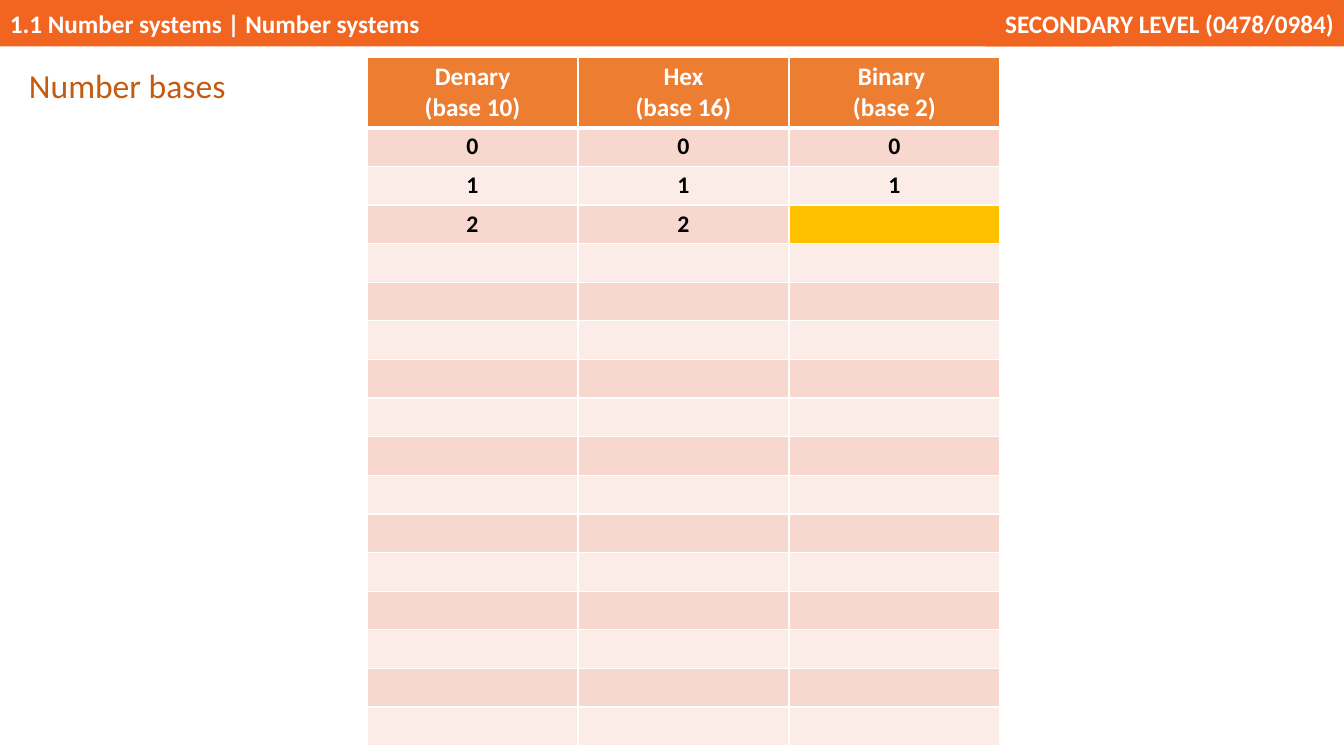
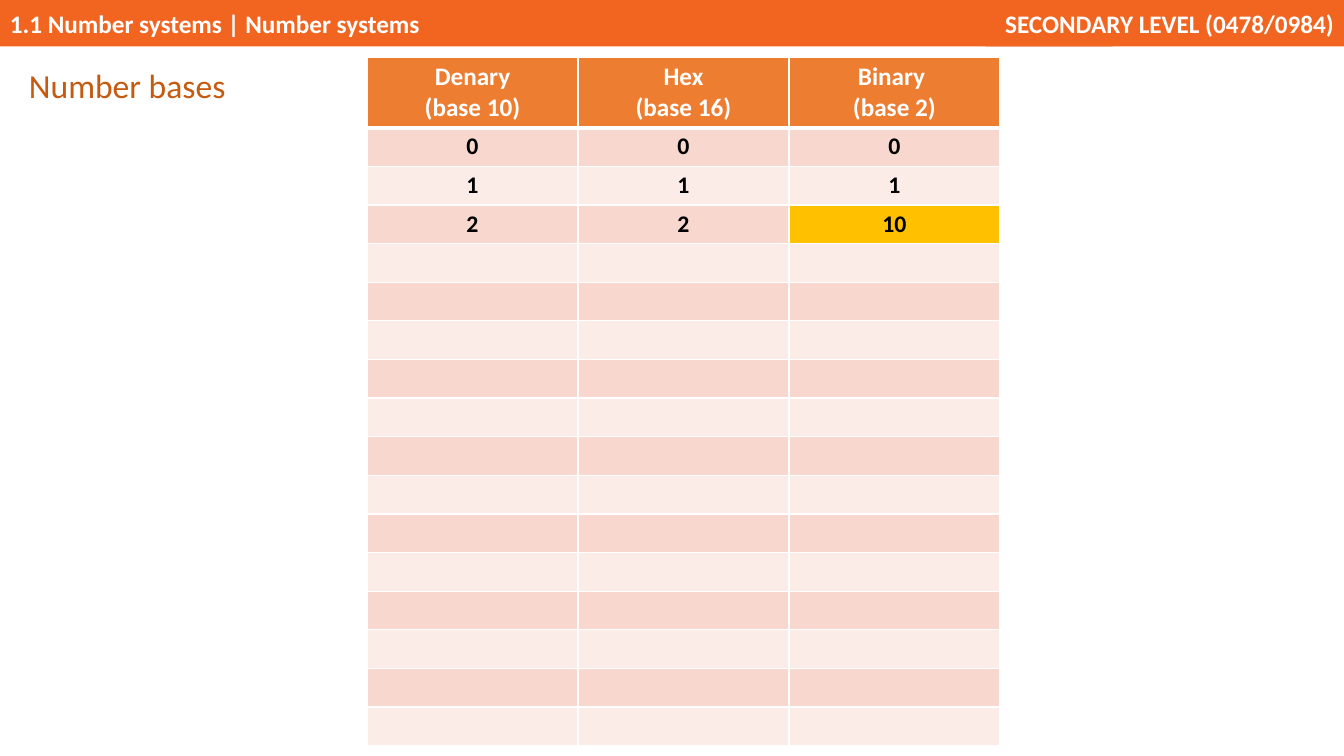
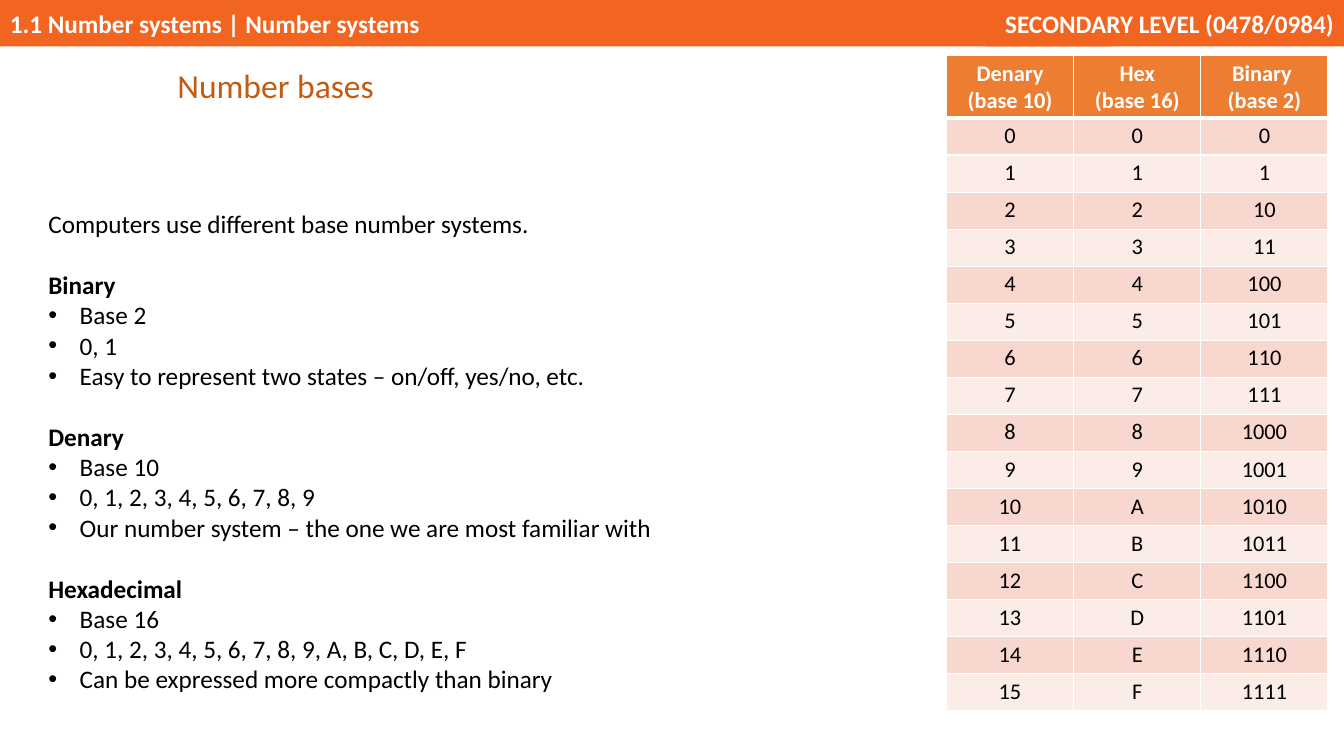
import dataclasses

import lxml.etree
import pptx
import pptx.dml.color
import pptx.enum.shapes
import pptx.enum.text
import pptx.oxml.ns
import pptx.util
from pptx.util import Cm

PAGE_WIDTH, PAGE_HEIGHT = 33.87, 19.05
FONT = "Calibri"
WHITE, BLACK = "FFFFFF", "000000"
BAND, TITLE = "F26521", "C55A11"
HEADER, STRIPES, HIGHLIGHT = "ED7D31", ("F8D7CE", "FCECE8"), "FFC000"
BAND_HEIGHT = 1.17
NUMBER_COUNT = 16
HEADINGS = ("Denary\n(base 10)", "Hex\n(base 16)", "Binary \n(base 2)")
ALIGN = pptx.enum.text.PP_ALIGN


@dataclasses.dataclass(frozen=True)
class Band:
    left: float
    width: float
    text: str
    align: ALIGN


@dataclasses.dataclass(frozen=True)
class BaseTable:
    left: float
    top: float
    width: float
    height: float
    header_height: float
    header_size: int
    body_size: int
    body_bold: bool


@dataclasses.dataclass(frozen=True)
class NumberBase:
    name: str
    facts: tuple[str, ...]


BANDS = (
    Band(0, 28.04, "1.1 Number systems | Number systems", ALIGN.LEFT),
    Band(24.84, PAGE_WIDTH - 24.84, "SECONDARY LEVEL (0478/0984)", ALIGN.RIGHT),
)
LARGE_TABLE = BaseTable(9.25, 1.45, 15.95, 17.35, 1.77, 18, 17, True)
SIDE_TABLE = BaseTable(23.85, 1.4, 9.62, 16.51, 1.57, 16, 16, False)

INTRODUCTION = "Computers use different base number systems."
NUMBER_BASES = (
    NumberBase("Binary", (
        "Base 2",
        "0, 1",
        "Easy to represent two states – on/off, yes/no, etc.",
    )),
    NumberBase("Denary", (
        "Base 10",
        "0, 1, 2, 3, 4, 5, 6, 7, 8, 9",
        "Our number system – the one we are most familiar with",
    )),
    NumberBase("Hexadecimal", (
        "Base 16",
        "0, 1, 2, 3, 4, 5, 6, 7, 8, 9, A, B, C, D, E, F",
        "Can be expressed more compactly than binary",
    )),
)


def rgb(value: str) -> pptx.dml.color.RGBColor:
    return pptx.dml.color.RGBColor.from_string(value)


def add_element(parent, tag: str, **attributes: str):
    return lxml.etree.SubElement(parent, pptx.oxml.ns.qn(tag), attributes)


def format_runs(para, size: int, color: str, bold: bool = False) -> None:
    for span in para.runs:
        span.font.name = FONT
        span.font.size = pptx.util.Pt(size)
        span.font.bold = bold
        span.font.color.rgb = rgb(color)


def add_band(page, band: Band) -> None:
    box = page.shapes.add_shape(
        pptx.enum.shapes.MSO_SHAPE.RECTANGLE,
        Cm(band.left), Cm(0), Cm(band.width), Cm(BAND_HEIGHT),
    )
    box.shadow.inherit = False
    box.fill.solid()
    box.fill.fore_color.rgb = rgb(BAND)
    box.line.fill.background()
    frame = box.text_frame
    frame.text = band.text
    frame.vertical_anchor = pptx.enum.text.MSO_ANCHOR.MIDDLE
    para = frame.paragraphs[0]
    para.alignment = band.align
    format_runs(para, 18, WHITE, True)


def add_title(page, left: float) -> None:
    box = page.shapes.add_textbox(Cm(left), Cm(1.45), Cm(5.51), Cm(1.3))
    box.text_frame.word_wrap = False
    box.text_frame.text = "Number bases"
    para = box.text_frame.paragraphs[0]
    para.line_spacing = 1.07
    format_runs(para, 24, TITLE)


def add_page(deck, title_left: float):
    """Add a blank page with the shared bands and title."""
    page = deck.slides.add_slide(deck.slide_layouts[6])
    for band in BANDS:
        add_band(page, band)
    add_title(page, title_left)
    return page


def number_rows(shown: int) -> list[tuple[str, ...]]:
    """Return a row per number, with blanks for those not yet shown."""
    return [
        (str(n), f"{n:X}", f"{n:b}") if n < shown else ("", "", "")
        for n in range(NUMBER_COUNT)
    ]


def set_borders(cell, top: int, bottom: int) -> None:
    properties = cell._tc.get_or_add_tcPr()
    for side, points in (("L", 1), ("R", 1), ("T", top), ("B", bottom)):
        line = add_element(properties, f"a:ln{side}", w=str(pptx.util.Pt(points)))
        add_element(add_element(line, "a:solidFill"), "a:srgbClr", val=WHITE)


def fill_cell(cell, text: str, fill: str, size: int, color: str, bold: bool) -> None:
    cell.margin_top = cell.margin_bottom = Cm(0.11)
    cell.fill.solid()
    cell.fill.fore_color.rgb = rgb(fill)
    cell.text_frame.text = text
    for para in cell.text_frame.paragraphs:
        para.alignment = ALIGN.CENTER
        format_runs(para, size, color, bold)
        if not para.runs:
            add_element(para._p, "a:endParaRPr", sz=str(size * 100))


def add_base_table(page, layout: BaseTable, rows: list[tuple[str, ...]],
                   highlight: tuple[int, int] | None = None) -> None:
    """Draw the table of bases; highlight is a (number, column) position."""
    table = page.shapes.add_table(
        len(rows) + 1, len(HEADINGS),
        Cm(layout.left), Cm(layout.top), Cm(layout.width), Cm(layout.height),
    ).table
    table.first_row = table.horz_banding = False
    for column in table.columns:
        column.width = Cm(layout.width / len(HEADINGS))
    body_height = (layout.height - layout.header_height) / len(rows)
    for index, row in enumerate(table.rows):
        row.height = Cm(body_height if index else layout.header_height)

    for column, heading in enumerate(HEADINGS):
        cell = table.cell(0, column)
        set_borders(cell, 1, 3)
        fill_cell(cell, heading, HEADER, layout.header_size, WHITE, True)
    for number, texts in enumerate(rows):
        for column, text in enumerate(texts):
            cell = table.cell(number + 1, column)
            set_borders(cell, 1 if number else 3, 1)
            fill = HIGHLIGHT if (number, column) == highlight else STRIPES[number % 2]
            fill_cell(cell, text, fill, layout.body_size, BLACK, layout.body_bold)


def add_bullet(para) -> None:
    properties = para._p.get_or_add_pPr()
    indent = Cm(0.79)
    properties.set("marL", str(indent))
    properties.set("indent", str(-indent))
    add_element(properties, "a:buFont", typeface="Arial")
    add_element(properties, "a:buChar", char="•")


def add_explanation(page) -> None:
    box = page.shapes.add_textbox(Cm(0.97), Cm(5.13), Cm(22.5), Cm(12.57))
    frame = box.text_frame
    frame.word_wrap = True
    frame.text = INTRODUCTION
    format_runs(frame.paragraphs[0], 18, BLACK)
    for base in NUMBER_BASES:
        para = frame.add_paragraph()
        para.text = base.name
        para.space_before = pptx.util.Pt(22)
        format_runs(para, 18, BLACK, True)
        for fact in base.facts:
            para = frame.add_paragraph()
            para.text = fact
            add_bullet(para)
            format_runs(para, 18, BLACK)


def main() -> None:
    deck = pptx.Presentation()
    deck.slide_width, deck.slide_height = Cm(PAGE_WIDTH), Cm(PAGE_HEIGHT)

    answer = (2, 2)
    for answer_text in ("", "10"):
        rows = number_rows(3)
        rows[2] = ("2", "2", answer_text)
        add_base_table(add_page(deck, 0.48), LARGE_TABLE, rows, answer)

    summary = add_page(deck, 4.22)
    add_explanation(summary)
    add_base_table(summary, SIDE_TABLE, number_rows(NUMBER_COUNT))

    deck.save("out.pptx")


if __name__ == "__main__":
    main()
